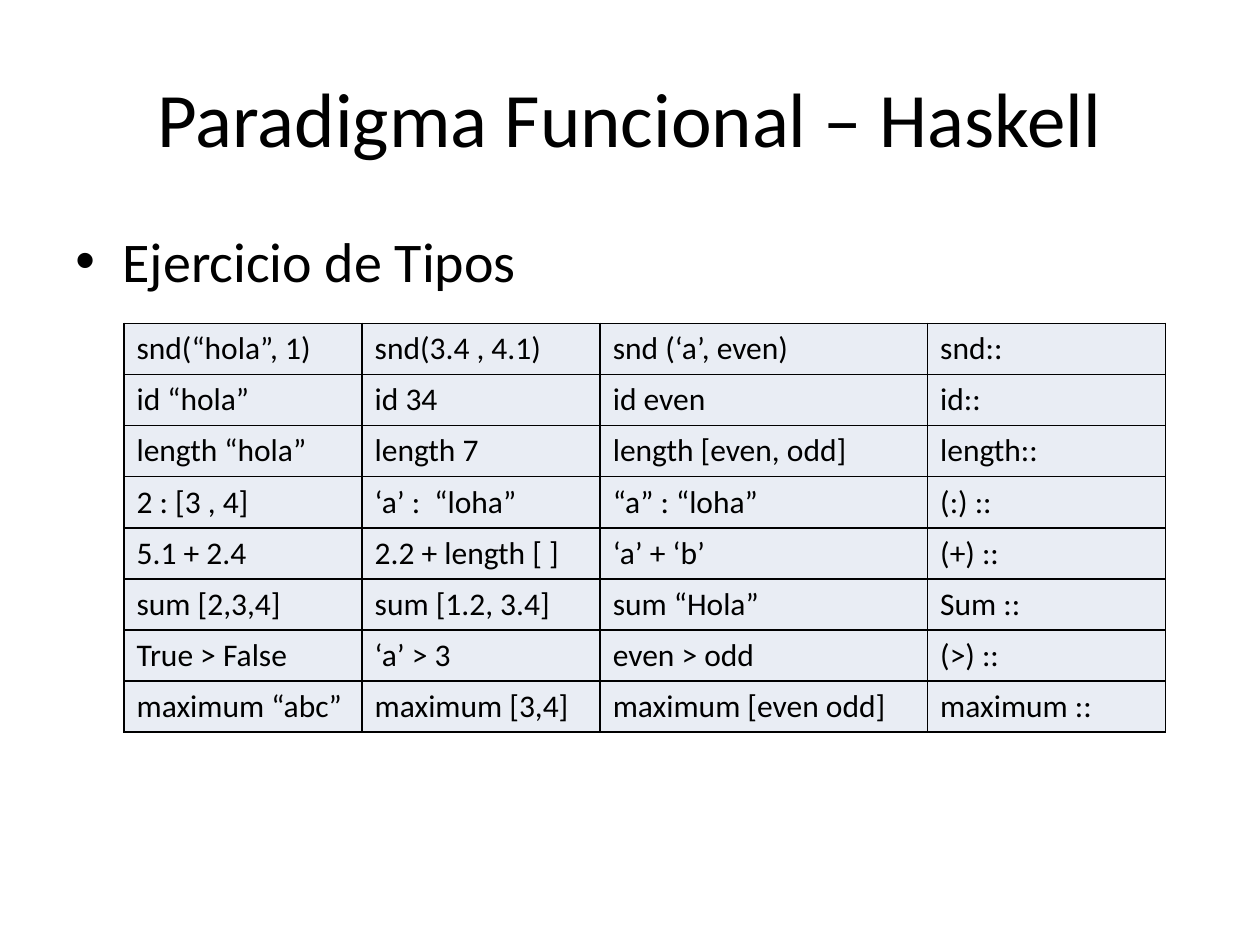
"""Build a slide with a table of Haskell typing exercises."""
from lxml import etree
from pptx import Presentation
from pptx import util as u
from pptx.dml.color import RGBColor
from pptx.enum import text
from pptx.oxml import ns

TITLE = "Paradigma Funcional – Haskell"
SUBTITLE = "Ejercicio de Tipos"
EXERCISES = [
    ("snd(“hola”, 1)", "snd(3.4 , 4.1)", "snd (‘a’, even)", "snd::"),
    ("id “hola”", "id 34", "id even", "id::"),
    ("length “hola”", "length 7", "length [even, odd]", "length::"),
    ("2 : [3 , 4]", "‘a’ :  “loha”", "“a” : “loha”", "(:) ::"),
    ("5.1 + 2.4", "2.2 + length [ ]", "‘a’ + ‘b’", "(+) ::"),
    ("sum [2,3,4]", "sum [1.2, 3.4]", "sum “Hola”", "Sum ::"),
    ("True > False", "‘a’ > 3", "even > odd", "(>) ::"),
    ("maximum “abc”", "maximum [3,4]", "maximum [even odd]", "maximum ::"),
]
COLUMN_WIDTHS = (4.8, 4.8, 6.6, 4.8)
ROW_HEIGHT = 1.03
TABLE_LEFT, TABLE_TOP = 2.5, 6.52
MARGIN, CONTENT_WIDTH = 1.27, 22.86
BULLET_INDENT = u.Cm(0.95)

THEME = {
    "font": "Calibri", "ink": "000000", "cell": "E9EDF4", "border": u.Pt(1),
    "title": u.Pt(44), "body": u.Pt(32), "table": u.Pt(18),
}


def set_attributes(target, values):
    for name, value in values.items():
        setattr(target, name, value)


def write(paragraph, content, size):
    paragraph.text = content
    set_attributes(paragraph.font, {"name": THEME["font"], "size": THEME[size]})
    paragraph.font.color.rgb = RGBColor.from_string(THEME["ink"])


def add_text(slide, content, size, top, height, anchor, alignment):
    shape = slide.shapes.add_textbox(
        u.Cm(MARGIN), u.Cm(top), u.Cm(CONTENT_WIDTH), u.Cm(height))
    set_attributes(shape.text_frame, {"word_wrap": True, "vertical_anchor": anchor})
    paragraph = shape.text_frame.paragraphs[0]
    paragraph.alignment = alignment
    write(paragraph, content, size)
    return paragraph


def add_bullet(paragraph):
    properties = paragraph._p.get_or_add_pPr()
    properties.set("marL", str(BULLET_INDENT))
    properties.set("indent", str(-BULLET_INDENT))
    bullet_font = etree.Element(ns.qn("a:buFont"), typeface="Arial")
    bullet = etree.Element(ns.qn("a:buChar"), char="•")
    properties.insert(0, bullet_font)
    properties.insert(1, bullet)


def add_borders(cell):
    properties = cell._tc.get_or_add_tcPr()
    for side in ("L", "R", "T", "B"):
        line = etree.SubElement(
            properties, ns.qn(f"a:ln{side}"), w=str(THEME["border"]))
        fill = etree.SubElement(line, ns.qn("a:solidFill"))
        etree.SubElement(fill, ns.qn("a:srgbClr"), val=THEME["ink"])


def add_exercises(slide):
    table = slide.shapes.add_table(
        len(EXERCISES), len(COLUMN_WIDTHS), u.Cm(TABLE_LEFT), u.Cm(TABLE_TOP),
        u.Cm(sum(COLUMN_WIDTHS)), u.Cm(ROW_HEIGHT * len(EXERCISES))).table
    set_attributes(table, {"first_row": False, "horz_banding": False})
    for column, width in zip(table.columns, COLUMN_WIDTHS):
        column.width = u.Cm(width)
    for row, expressions in zip(table.rows, EXERCISES):
        row.height = u.Cm(ROW_HEIGHT)
        for cell, expression in zip(row.cells, expressions):
            write(cell.text_frame.paragraphs[0], expression, "table")
            add_borders(cell)
            cell.fill.solid()
            cell.fill.fore_color.rgb = RGBColor.from_string(THEME["cell"])


def main():
    presentation = Presentation()
    set_attributes(presentation, {
        "slide_width": u.Cm(25.4), "slide_height": u.Cm(19.05)})
    slide = presentation.slides.add_slide(presentation.slide_layouts[6])
    add_text(slide, TITLE, "title", 0.76, 3.18,
             text.MSO_ANCHOR.MIDDLE, text.PP_ALIGN.CENTER)
    subtitle = add_text(slide, SUBTITLE, "body", 4.45, 14.07,
                        text.MSO_ANCHOR.TOP, text.PP_ALIGN.LEFT)
    add_bullet(subtitle)
    add_exercises(slide)
    presentation.save("out.pptx")


if __name__ == "__main__":
    main()
